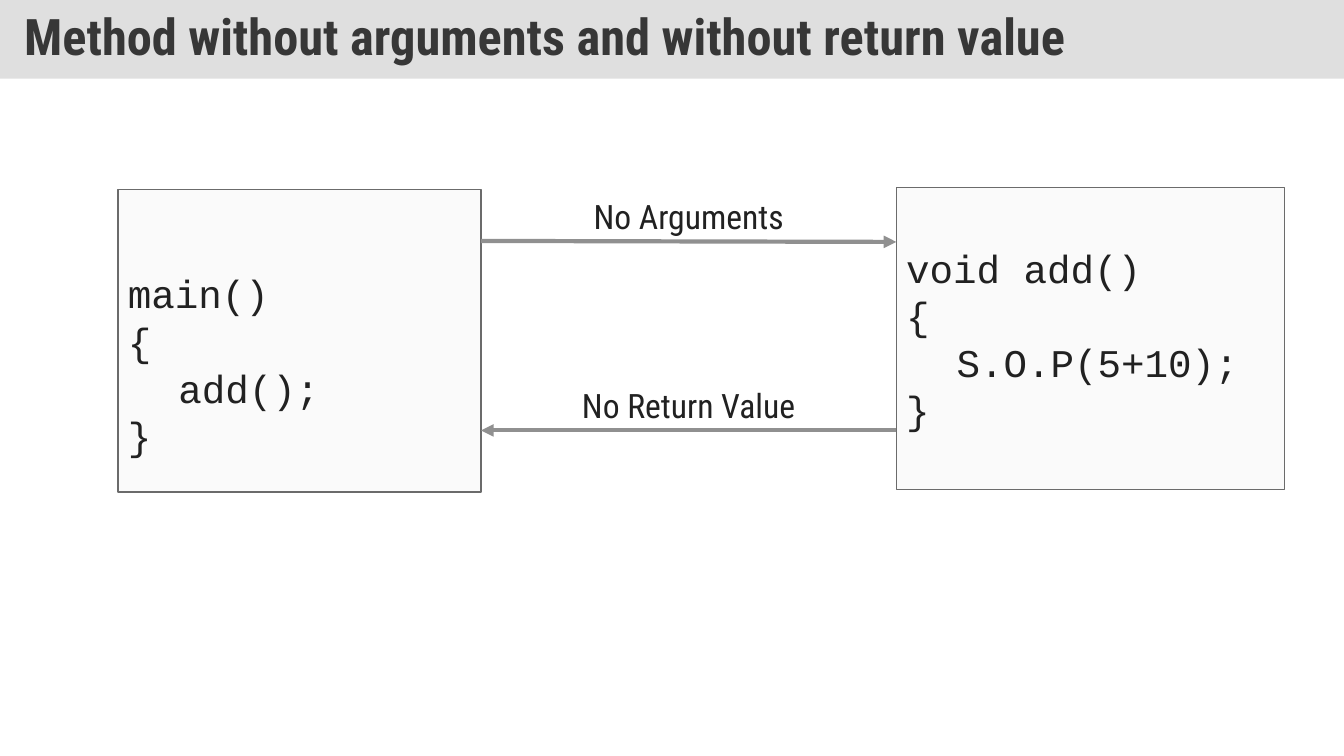
from lxml import etree
from pptx import Presentation, util as u
from pptx.dml.color import RGBColor
from pptx.enum import shapes, text
from pptx.oxml.ns import qn

INK = RGBColor(0x21, 0x21, 0x21)
TITLE_INK = RGBColor(0x37, 0x37, 0x37)
BAND = RGBColor(0xC0, 0xC0, 0xC0)
PANEL = RGBColor(0xFA, 0xFA, 0xFA)
BORDER = RGBColor(0x6B, 0x6B, 0x6B)
ARROW = RGBColor(0x90, 0x90, 0x90)

TITLE_FONT = {"name": "Roboto Condensed", "size": u.Pt(36), "bold": True}
LABEL_FONT = {"name": "Roboto Condensed", "size": u.Pt(24)}
CODE_FONT = {"name": "Courier New", "size": u.Pt(28)}

prs = Presentation()
prs.slide_width, prs.slide_height = u.Inches(13.33), u.Inches(7.5)
s = prs.slides.add_slide(prs.slide_layouts[6])


def box(left, top, width, height):
    """Turn percentages of the slide's width and height into lengths."""
    W, H = prs.slide_width / 100, prs.slide_height / 100
    return [round(v) for v in (left * W, top * H, width * W, height * H)]


def write(tf, lines, font, color, align):
    tf.word_wrap = True
    for i, line in enumerate(lines):
        p = tf.paragraphs[0] if i == 0 else tf.add_paragraph()
        p.alignment = align
        r = p.add_run()
        r.text = line
        r.font.color.rgb = color
        for name, value in font.items():
            setattr(r.font, name, value)


# Title band
sp = s.shapes.add_shape(shapes.MSO_SHAPE.RECTANGLE, *box(0, 0, 100, 10.4))
sp.shadow.inherit = False
sp.fill.solid()
sp.fill.fore_color.rgb = BAND
tint = sp._element.spPr.find(qn("a:solidFill"))[0]
etree.SubElement(tint, qn("a:alpha"), val="50000")
sp.line.fill.background()
tf = sp.text_frame
tf.vertical_anchor = text.MSO_ANCHOR.MIDDLE
tf.margin_left = tf.margin_right = u.Inches(0.24)
tf.margin_top = tf.margin_bottom = u.Inches(0.12)
write(tf, ["Method without arguments and without return value"],
      TITLE_FONT, TITLE_INK, text.PP_ALIGN.LEFT)
tf.paragraphs[0].line_spacing = 0.9

# Code panels: left, top, width, top margin in inches, lines
CALLER_RIGHT, METHOD_LEFT = 35.79, 66.69
panels = [
    (8.78, 25.07, CALLER_RIGHT - 8.78, 0.51,
     ["main()", "{", "\tadd();", "}"]),
    (METHOD_LEFT, 24.8, 28.88, 0.05,
     ["void add()", "{", "\tS.O.P(5+10);", "}"]),
]
for left, top, width, margin, lines in panels:
    sp = s.shapes.add_shape(shapes.MSO_SHAPE.RECTANGLE, *box(left, top, width, 40))
    sp.shadow.inherit = False
    sp.fill.solid()
    sp.fill.fore_color.rgb = PANEL
    sp.line.color.rgb = BORDER
    sp.line.width = u.Pt(1)
    tf = sp.text_frame
    tf.vertical_anchor = text.MSO_ANCHOR.MIDDLE
    tf.margin_top = u.Inches(margin)
    write(tf, lines, CODE_FONT, INK, text.PP_ALIGN.LEFT)

# Labelled arrows: start x, start y, end x, end y, label
LABEL_GAP, LABEL_HEIGHT = 1.5, 6.67
arrows = [
    (CALLER_RIGHT, 31.87, METHOD_LEFT, 32, "No Arguments"),
    (METHOD_LEFT, 56.93, CALLER_RIGHT, 56.93, "No Return Value"),
]
for x1, y1, x2, y2, label in arrows:
    cxn = s.shapes.add_connector(shapes.MSO_CONNECTOR.STRAIGHT, *box(x1, y1, x2, y2))
    cxn.line.color.rgb = ARROW
    cxn.line.width = u.Pt(3)
    etree.SubElement(cxn.line._get_or_add_ln(), qn("a:tailEnd"), type="triangle")
    etree.SubElement(cxn._element.spPr, qn("a:effectLst"))

    tb = s.shapes.add_textbox(*box(
        CALLER_RIGHT + LABEL_GAP, y1 - LABEL_HEIGHT,
        METHOD_LEFT - CALLER_RIGHT - 2 * LABEL_GAP, LABEL_HEIGHT))
    write(tb.text_frame, [label], LABEL_FONT, INK, text.PP_ALIGN.CENTER)

prs.save("out.pptx")
